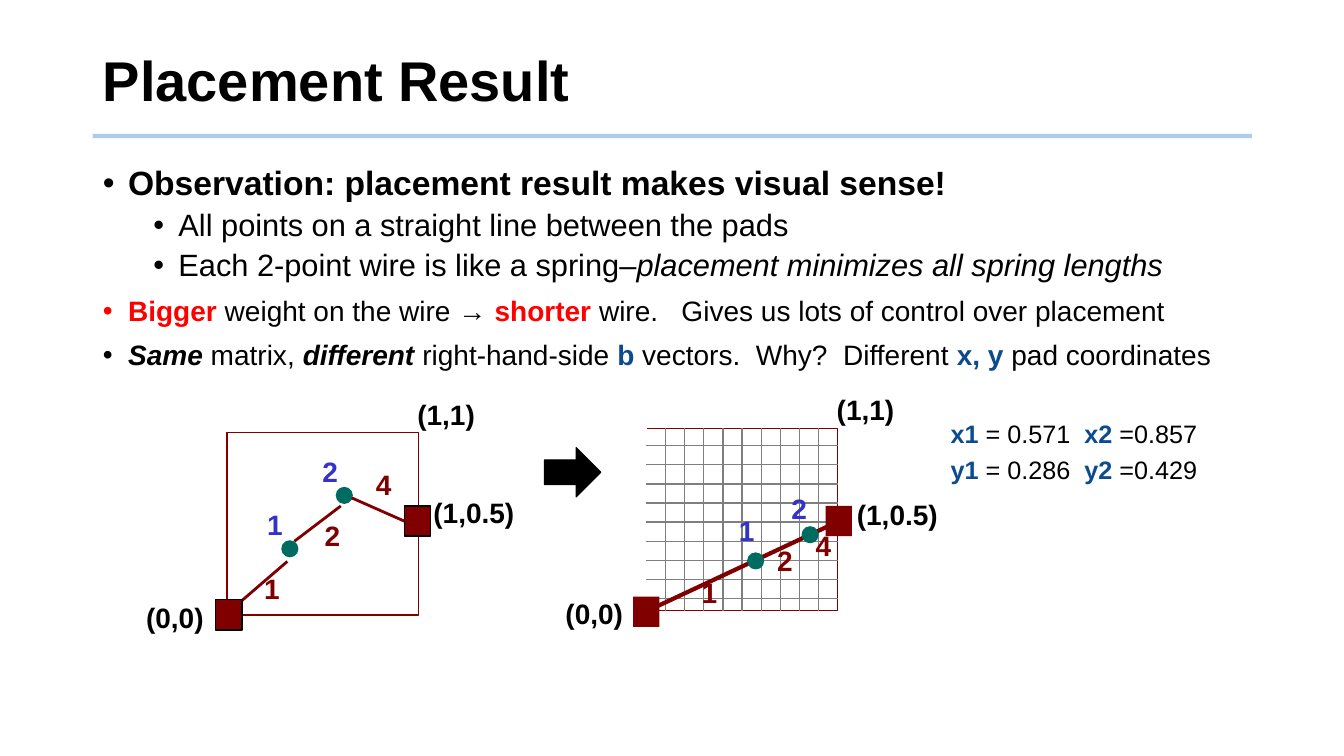
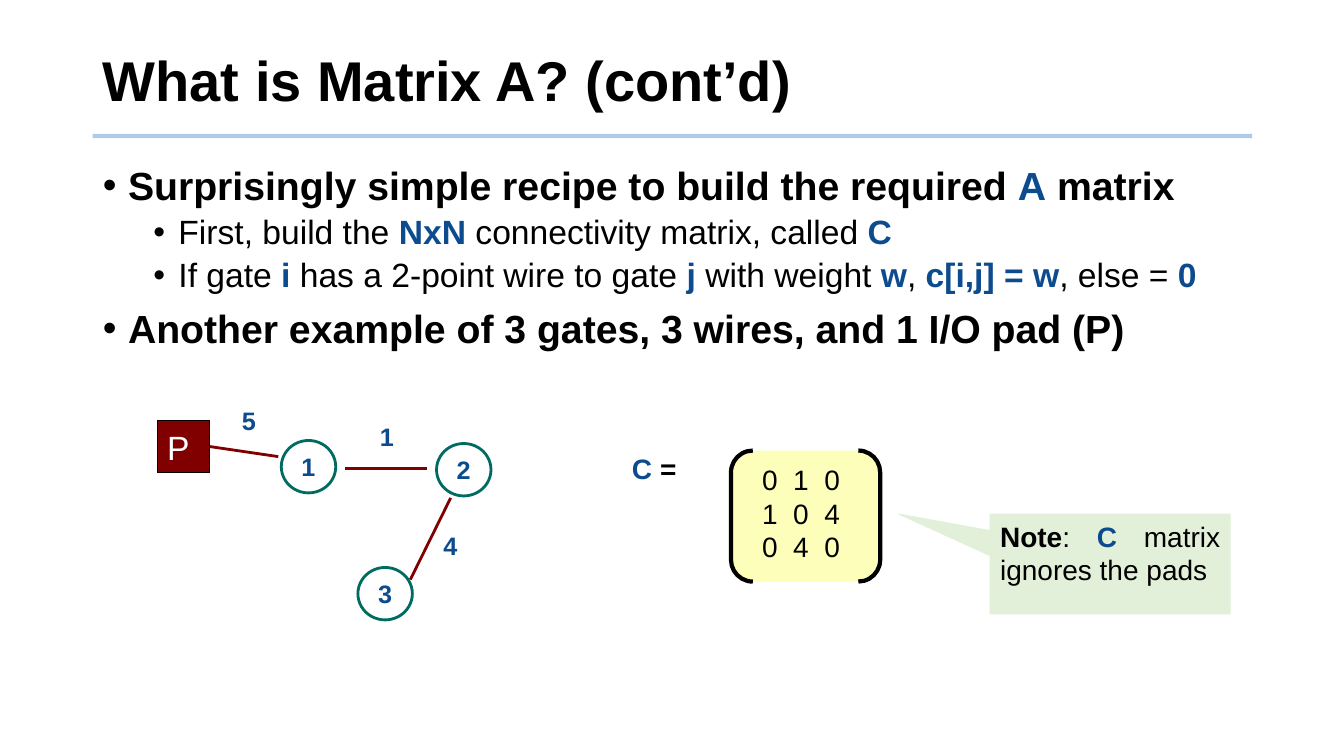
from typing import NamedTuple

from lxml.etree import SubElement
from pptx import Presentation
from pptx.dml.color import RGBColor
from pptx.enum.shapes import MSO_CONNECTOR, MSO_SHAPE
from pptx.enum.text import MSO_ANCHOR, MSO_AUTO_SIZE, PP_ALIGN
from pptx.oxml.ns import qn
from pptx.util import Inches, Pt

BLACK = RGBColor(0x00, 0x00, 0x00)
WHITE = RGBColor(0xFF, 0xFF, 0xFF)
RED = RGBColor(0xFF, 0x00, 0x00)
MAROON = RGBColor(0x80, 0x00, 0x00)
TEAL = RGBColor(0x00, 0x6B, 0x61)
GATE_BLUE = RGBColor(0x33, 0x33, 0xCC)
KEY_BLUE = RGBColor(0x0B, 0x4B, 0x8E)
RULE_BLUE = RGBColor(0x5B, 0x9B, 0xD5)
GRID_GRAY = RGBColor(0x7F, 0x7F, 0x7F)
MATRIX_YELLOW = RGBColor(0xFC, 0xFE, 0xB9)
NOTE_GREEN = RGBColor(0xE2, 0xF0, 0xD9)

FONT = "Arial"
LEFT, CONTENT_WIDTH = 0.92, 11.5
DOT_SIZE = 0.17
GRID_STEP = 0.19


class Box(NamedTuple):
    left: float
    top: float
    width: float
    height: float


class Point(NamedTuple):
    x: float
    y: float


class Run(NamedTuple):
    text: str
    color: RGBColor = BLACK
    bold: bool = False
    italic: bool = False


class Bullet(NamedTuple):
    size: int
    runs: list[Run]
    level: int = 0


class Label(NamedTuple):
    text: str
    left: float
    top: float
    color: RGBColor = BLACK
    width: float = 0.41


class Wire(NamedTuple):
    start: Point
    end: Point


def key(text: str, color: RGBColor = KEY_BLUE) -> Run:
    return Run(text, color, bold=True)


def set_attributes(target, values: dict) -> None:
    for name, value in values.items():
        setattr(target, name, value)


def place(shape, box: Box) -> None:
    set_attributes(shape, {name: Inches(value) for name, value in box._asdict().items()})


def write_runs(paragraph, runs: list[Run], size: int) -> None:
    for item in runs:
        run = paragraph.add_run()
        run.text = item.text
        set_attributes(run.font, {
            "name": FONT, "size": Pt(size), "bold": item.bold, "italic": item.italic,
        })
        run.font.color.rgb = item.color


def write_lines(frame, lines: list[list[Run]], size: int, alignment=PP_ALIGN.LEFT) -> None:
    for index, runs in enumerate(lines):
        paragraph = frame.add_paragraph() if index else frame.paragraphs[0]
        paragraph.alignment = alignment
        write_runs(paragraph, runs, size)


def add_line(slide, start: Point, end: Point, color: RGBColor = MAROON, width: float = 2):
    line = slide.shapes.add_connector(
        MSO_CONNECTOR.STRAIGHT, *(Inches(value) for value in (*start, *end)))
    line.line.color.rgb = color
    line.line.width = Pt(width)
    SubElement(line._element.spPr, qn("a:effectLst"))
    return line


def add_box(slide, kind, box: Box, fill: RGBColor | None = None,
            outline: RGBColor | None = None, width: float = 1):
    shape = slide.shapes.add_shape(kind, *(Inches(value) for value in box))
    shape.shadow.inherit = False
    if fill is None:
        shape.fill.background()
    else:
        shape.fill.solid()
        shape.fill.fore_color.rgb = fill
    if outline is None:
        shape.line.fill.background()
    else:
        shape.line.color.rgb = outline
        shape.line.width = Pt(width)
    return shape


def add_text(slide, box: Box, lines: list[list[Run]], size: int, wrap: bool = False) -> None:
    frame = slide.shapes.add_textbox(*(Inches(value) for value in box)).text_frame
    set_attributes(frame, {"word_wrap": wrap, "auto_size": MSO_AUTO_SIZE.SHAPE_TO_FIT_TEXT})
    write_lines(frame, lines, size)


def add_labels(slide, labels: list[Label], size: int, height: float) -> None:
    for label in labels:
        add_text(slide, Box(label.left, label.top, label.width, height),
                 [[key(label.text, label.color)]], size)


def add_dots(slide, corners: list[Point]) -> None:
    for corner in corners:
        add_box(slide, MSO_SHAPE.OVAL, Box(*corner, DOT_SIZE, DOT_SIZE), TEAL)


def add_pad(slide, corner: Point, outline: RGBColor | None = None):
    return add_box(slide, MSO_SHAPE.RECTANGLE, Box(*corner, 0.26, 0.3), MAROON, outline)


def format_bullet(paragraph, level: int) -> None:
    """Set the spacing, hanging indent and bullet sign of a list level."""
    set_attributes(paragraph, {
        "level": level, "line_spacing": 0.9, "space_before": Pt(5 if level else 10),
    })
    properties = paragraph._p.get_or_add_pPr()
    properties.set("marL", str(Inches(0.25 + 0.5 * level)))
    properties.set("indent", str(Inches(-0.25)))
    SubElement(properties, qn("a:buFont")).set("typeface", FONT)
    SubElement(properties, qn("a:buChar")).set("char", "•")


def add_content_slide(presentation, title: str, bullets: list[Bullet], body_height: float):
    """Add a slide with the shared rule, title style and bullet list."""
    slide = presentation.slides.add_slide(presentation.slide_layouts[1])
    rule = add_line(slide, Point(LEFT, 1.35), Point(LEFT + CONTENT_WIDTH, 1.35), RULE_BLUE, 3)
    rule_color = rule.line._ln.find(qn("a:solidFill"))[0]
    SubElement(rule_color, qn("a:alpha")).set("val", "50000")

    heading, body = slide.placeholders
    place(heading, Box(LEFT, 0.28, CONTENT_WIDTH, 1.1))
    place(body, Box(LEFT, 1.6, CONTENT_WIDTH, body_height))
    for placeholder, anchor in ((heading, MSO_ANCHOR.MIDDLE), (body, MSO_ANCHOR.TOP)):
        set_attributes(placeholder.text_frame, {
            "word_wrap": True, "auto_size": MSO_AUTO_SIZE.NONE, "vertical_anchor": anchor,
        })
    write_lines(heading.text_frame, [[key(title, BLACK)]], 40)
    heading.text_frame.paragraphs[0].line_spacing = 0.9

    for index, bullet in enumerate(bullets):
        frame = body.text_frame
        paragraph = frame.add_paragraph() if index else frame.paragraphs[0]
        format_bullet(paragraph, bullet.level)
        write_runs(paragraph, bullet.runs, bullet.size)
    return slide


def add_initial_placement(slide) -> None:
    for wire in (Wire(Point(3.38, 5.02), Point(2.92, 5.37)),
                 Wire(Point(2.85, 5.57), Point(2.27, 6.07))):
        add_line(slide, *wire)
    add_dots(slide, [Point(2.79, 5.36), Point(3.33, 4.83)])
    add_box(slide, MSO_SHAPE.RECTANGLE, Box(2.25, 4.29, 1.9, 1.81), outline=MAROON)
    add_pad(slide, Point(2.14, 5.95), BLACK)
    right_pad = add_pad(slide, Point(4.01, 5.02), BLACK)
    add_line(slide, Point(3.49, 4.94), Point(4.01, 5.17)).end_connect(right_pad, 1)
    add_labels(slide, [
        Label("1", 2.55, 4.99, GATE_BLUE),
        Label("2", 3.1, 4.46, GATE_BLUE),
        Label("1", 2.52, 5.62, MAROON),
        Label("2", 3.12, 5.09, MAROON),
        Label("4", 3.63, 4.59, MAROON),
        Label("(0,0)", 1.35, 5.91, width=0.89),
        Label("(1,0.5)", 4.2, 4.87, width=1.16),
        Label("(1,1)", 4.04, 3.89, width=0.89),
    ], 20, 0.5)


def add_final_placement(slide) -> None:
    area = Box(6.41, 4.25, 1.9, 1.81)
    right, bottom = area.left + area.width, area.top + area.height
    add_box(slide, MSO_SHAPE.RECTANGLE, area, outline=MAROON)
    for index in range(10):
        x = area.left + GRID_STEP * index
        add_line(slide, Point(x, bottom), Point(x, area.top),
                 GRID_GRAY if index else WHITE, 1)
    for index in range(9):
        y = 4.42 + GRID_STEP * index
        add_line(slide, Point(right, y), Point(area.left, y), GRID_GRAY, 1)
    add_line(slide, Point(8.3, 5.18), Point(6.4, 6.07), width=3)
    add_dots(slide, [Point(7.41, 5.48), Point(7.95, 5.22)])
    for corner in (Point(6.28, 5.92), Point(8.19, 5.02)):
        add_pad(slide, corner)
    add_labels(slide, [
        Label("1", 7.23, 5.05, GATE_BLUE),
        Label("2", 7.75, 4.83, GATE_BLUE),
        Label("1", 6.86, 5.66, MAROON),
        Label("2", 7.61, 5.34, MAROON),
        Label("4", 7.99, 5.19, MAROON),
        Label("(0,0)", 5.51, 5.87, width=0.89),
        Label("(1,0.5)", 8.4, 4.89, width=1.16),
        Label("(1,1)", 8.2, 3.84, width=0.89),
    ], 20, 0.5)


def add_placement_slide(presentation) -> None:
    slide = add_content_slide(presentation, "Placement Result", [
        Bullet(24, [key("Observation: placement result makes visual sense!", BLACK)]),
        Bullet(22, [Run("All points on a straight line between the pads")], 1),
        Bullet(22, [Run("Each 2-point wire is like a spring–"),
                    Run("placement minimizes all spring lengths", italic=True)], 1),
        Bullet(20, [key("Bigger ", RED), Run("weight on the wire → "), key("shorter ", RED),
                    Run("wire.   Gives us lots of control over placement")]),
        Bullet(20, [Run("Same", BLACK, True, True), Run(" matrix, "),
                    Run("different ", BLACK, True, True), Run("right-hand-side "), key("b"),
                    Run(" vectors.  Why?  Different "), key("x, y"),
                    Run(" pad coordinates")]),
    ], 5.15)
    add_initial_placement(slide)
    add_box(slide, MSO_SHAPE.RIGHT_ARROW, Box(5.4, 4.44, 0.56, 0.49), BLACK, BLACK, 0.75)
    add_final_placement(slide)
    for axis, first, second, top in (("x", "0.571", "0.857", 4.1), ("y", "0.286", "0.429", 4.46)):
        add_text(slide, Box(9.33, top, 3.07, 0.46), [[
            key(f"{axis}1"), Run(f" = {first}  "), key(f"{axis}2 "), Run(f"={second}"),
        ]], 18)


def add_gate_graph(slide) -> None:
    pad = add_box(slide, MSO_SHAPE.RECTANGLE, Box(1.56, 4.17, 0.52, 0.52), MAROON, BLACK, 0.75)
    pad.text_frame.vertical_anchor = MSO_ANCHOR.MIDDLE
    write_lines(pad.text_frame, [[Run("P", WHITE)]], 24)
    for number, corner in enumerate((Point(2.79, 4.37), Point(4.33, 4.4), Point(3.55, 5.63)), 1):
        gate = add_box(slide, MSO_SHAPE.OVAL, Box(*corner, 0.54, 0.52), outline=TEAL, width=2)
        set_attributes(gate.text_frame, {
            "word_wrap": False, "vertical_anchor": MSO_ANCHOR.MIDDLE,
        })
        write_lines(gate.text_frame, [[key(str(number))]], 18, PP_ALIGN.CENTER)
    add_line(slide, Point(2.08, 4.43), Point(2.76, 4.53)).begin_connect(pad, 3)
    for wire in (Wire(Point(3.42, 4.65), Point(4.24, 4.65)),
                 Wire(Point(4.07, 5.75), Point(4.47, 4.94))):
        add_line(slide, *wire)
    add_labels(slide, [
        Label("5", 2.3, 3.97, KEY_BLUE, 0.34),
        Label("1", 3.67, 4.13, KEY_BLUE, 0.34),
        Label("4", 4.3, 5.21, KEY_BLUE, 0.34),
    ], 18, 0.4)


def add_matrix_slide(presentation) -> None:
    slide = add_content_slide(presentation, "What is Matrix A? (cont’d)", [
        Bullet(28, [key("Surprisingly simple recipe to build the required ", BLACK), key("A"),
                    key(" matrix", BLACK)]),
        Bullet(24, [Run("First, build the "), key("NxN"),
                    Run(" connectivity matrix, called "), key("C")], 1),
        Bullet(24, [Run("If gate "), key("i"), Run(" has a 2-point wire to gate "), key("j"),
                    Run(" with weight "), key("w"), Run(", "), key("c[i,j] = w"),
                    Run(", else = "), key("0")], 1),
        Bullet(28, [key("Another example of 3 gates, 3 wires, and 1 I/O pad (P)", BLACK)]),
    ], 2.36)
    add_gate_graph(slide)
    add_box(slide, MSO_SHAPE.DOUBLE_BRACKET, Box(7.25, 4.47, 1.48, 1.3), MATRIX_YELLOW, BLACK, 3)
    add_text(slide, Box(6.17, 4.43, 0.64, 0.43), [[key("C"), key(" =", BLACK)]], 20)
    add_text(slide, Box(7.46, 4.54, 1.43, 1.11),
             [[Run(row)] for row in ("0  1  0", "1  0  4", "0  4  0")], 20, wrap=True)

    note = add_box(slide, MSO_SHAPE.RECTANGULAR_CALLOUT, Box(9.82, 5.1, 2.38, 0.99),
                   NOTE_GREEN, NOTE_GREEN, 0.75)
    note.adjustments[0], note.adjustments[1] = -0.88, -0.5
    note.text_frame.vertical_anchor = MSO_ANCHOR.TOP
    write_lines(note.text_frame, [[key("Note", BLACK), Run(": "), key("C"),
                                   Run(" matrix ignores the pads")]], 20, PP_ALIGN.JUSTIFY)


def main() -> None:
    presentation = Presentation()
    set_attributes(presentation, {"slide_width": Inches(13.33), "slide_height": Inches(7.5)})
    add_placement_slide(presentation)
    add_matrix_slide(presentation)
    presentation.save("out.pptx")


if __name__ == "__main__":
    main()
